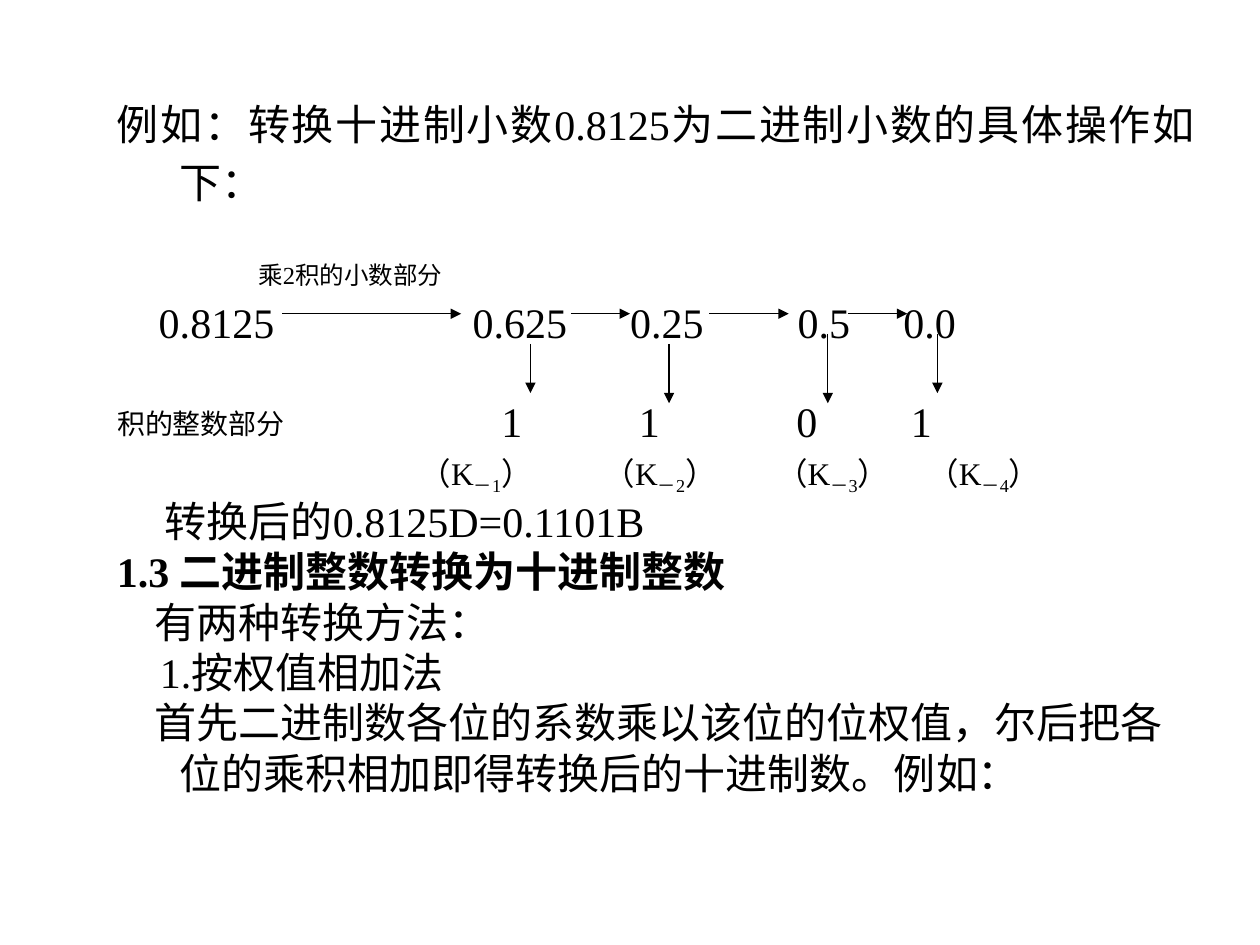
from pptx import Presentation
from pptx.dml.color import RGBColor
from pptx.enum.shapes import MSO_CONNECTOR
from pptx.enum.text import PP_ALIGN
from pptx.oxml.ns import qn
from pptx.util import Inches, Pt
from lxml.etree import SubElement

FONT = "Times New Roman"
COLORS = {"ink": "000000"}

BODY = [
    {"text": "例如：转换十进制小数0.8125为二进制小数的具体操作如下：", "indent": -0.5,
     "line": 1.15, "before": 15, "align": PP_ALIGN.JUSTIFY},
    {"text": "转换后的0.8125D=0.1101B", "indent": -0.12, "before": 165},
    {"text": "1.3 二进制整数转换为十进制整数", "indent": -0.5, "bold": True},
    {"text": "有两种转换方法：", "indent": -0.2},
    {"text": "1.按权值相加法", "indent": -0.16},
    {"text": "首先二进制数各位的系数乘以该位的位权值，"
             "尔后把各位的乘积相加即得转换后的十进制数。例如：", "indent": -0.2},
]
LABELS = [("乘2积的小数部分", 2.05, 2.06, 14), ("积的整数部分", 0.93, 3.23, 16)]
PARTS = [("0.8125", 1.26), ("0.625", 3.75), ("0.25", 5), ("0.5", 6.33), ("0.0", 7.17)]
PARTS_Y = 2.35
BITS = [("1", 3.98), ("1", 5.07), ("0", 6.32), ("1", 7.23)]
BITS_Y = 3.14
MARKS = [3.33, 4.79, 6.16, 7.36]
MARKS_Y = 3.6
ACROSS = [(2.24, 3.66), (4.53, 5), (5.63, 6.26), (6.73, 7.2)]
ACROSS_Y = 2.49
DOWN = [(4.21, 2.73, 3.12), (5.31, 2.73, 3.2), (6.57, 2.65, 3.2), (7.44, 2.65, 3.12)]


def add_run(para, text, size, bold=False, base=0):
    run = para.add_run()
    run.text = text
    font = run.font
    font.name, font.size, font.bold = FONT, Pt(size), bold
    font.color.rgb = RGBColor.from_string(COLORS["ink"])
    if base:
        run._r.get_or_add_rPr().set("baseline", str(base * 1000))


def add_body(slide):
    box = slide.shapes.add_textbox(*map(Inches, (0.83, 0.67, 8.75, 6.38)))
    frame = box.text_frame
    frame.word_wrap = True
    for i, row in enumerate(BODY):
        para = frame.add_paragraph() if i else frame.paragraphs[0]
        para.alignment = row.get("align", PP_ALIGN.LEFT)
        para.line_spacing = row.get("line", 1.0)
        para.space_before = Pt(row.get("before", 0))
        props = para._p.get_or_add_pPr()
        props.set("marL", str(Inches(0.5)))
        props.set("indent", str(Inches(row["indent"])))
        add_run(para, row["text"], 24, row.get("bold", False))


def add_piece(slide, x, y, width, size, *runs):
    box = slide.shapes.add_textbox(*map(Inches, (x, y, width, size / 60)))
    frame = box.text_frame
    frame.word_wrap = True
    frame.margin_left = frame.margin_right = 0
    frame.margin_top = frame.margin_bottom = 0
    for text, base in runs:
        add_run(frame.paragraphs[0], text, size, base=base)


def add_arrow(slide, *ends):
    arrow = slide.shapes.add_connector(MSO_CONNECTOR.STRAIGHT, *map(Inches, ends))
    arrow.line.color.rgb = RGBColor.from_string(COLORS["ink"])
    arrow.line.width = Pt(0.75)
    SubElement(arrow.line._get_or_add_ln(), qn("a:tailEnd"), type="triangle")
    SubElement(arrow._element.spPr, qn("a:effectLst"))


def main():
    deck = Presentation()
    deck.slide_width, deck.slide_height = Inches(10), Inches(7.5)
    slide = deck.slides.add_slide(deck.slide_layouts[6])
    add_body(slide)
    for text, x, y, size in LABELS:
        add_piece(slide, x, y, 1.8, size, (text, 0))
    for row, y in ((PARTS, PARTS_Y), (BITS, BITS_Y)):
        for text, x in row:
            add_piece(slide, x, y, 0.2 + 0.17 * len(text), 24, (text, 0))
    for n, x in enumerate(MARKS, 1):
        add_piece(slide, x, MARKS_Y, 1.3, 18, ("（K", 0), (f"－{n}", -25), ("）", 0))
    for start, end in ACROSS:
        add_arrow(slide, start, ACROSS_Y, end, ACROSS_Y)
    for x, top, low in DOWN:
        add_arrow(slide, x, top, x, low)
    deck.save("out.pptx")


if __name__ == "__main__":
    main()
